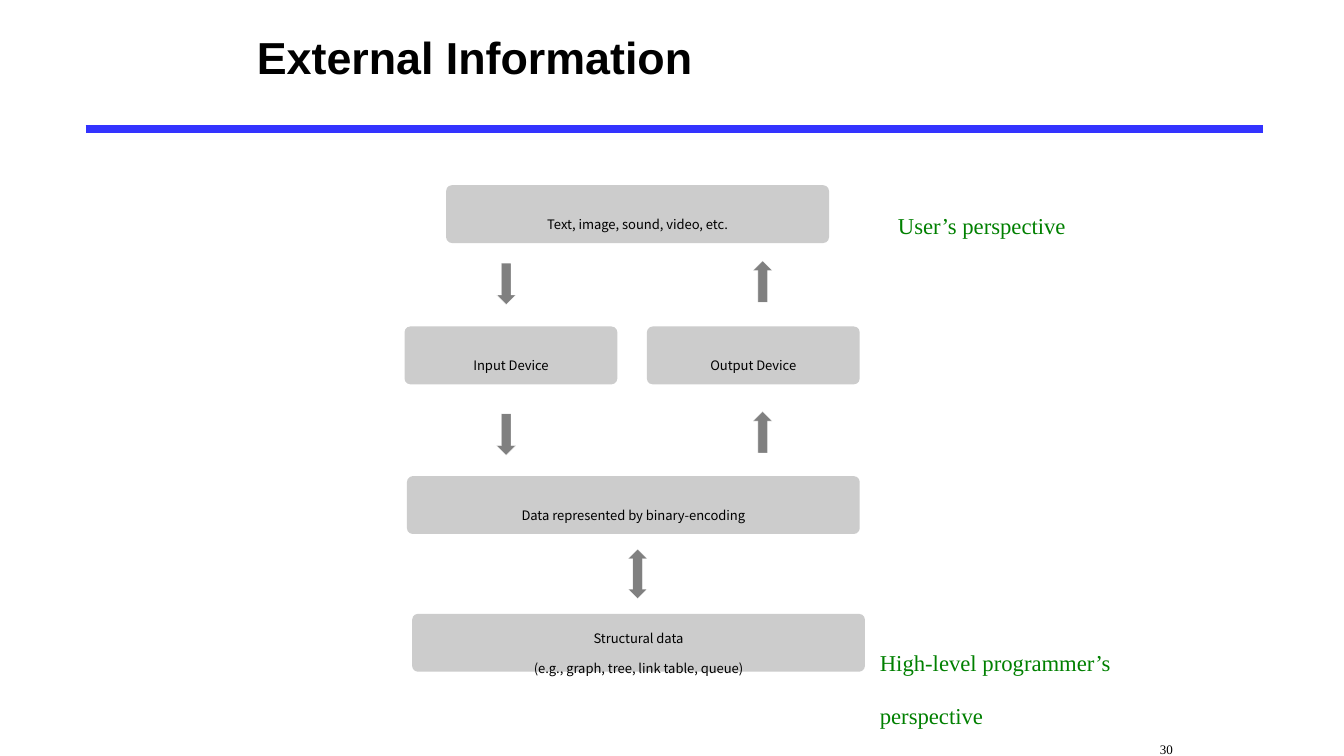
from lxml import etree
from pptx import Presentation
from pptx.dml.color import RGBColor
from pptx.enum.shapes import MSO_CONNECTOR, MSO_SHAPE
from pptx.enum.text import MSO_ANCHOR, PP_ALIGN
from pptx.oxml.ns import qn
from pptx.util import Pt

STRAIGHT = MSO_CONNECTOR.STRAIGHT
ROUNDED = MSO_SHAPE.ROUNDED_RECTANGLE
DOWN = MSO_SHAPE.DOWN_ARROW
LEFT_RIGHT = MSO_SHAPE.LEFT_RIGHT_ARROW
TOP, MIDDLE = MSO_ANCHOR.TOP, MSO_ANCHOR.MIDDLE
LEFT, CENTER = PP_ALIGN.LEFT, PP_ALIGN.CENTER

TITLE = {"name": "Arial", "size": Pt(32), "bold": True}
BOX = {"name": "Noto Sans CJK SC", "size": Pt(16)}
LABEL = {"name": "Times New Roman", "size": Pt(28)}
NUMBER = {"name": "Times New Roman", "size": Pt(16)}


def rgb(value):
    return RGBColor.from_string(value)


class Deck:
    rule, box, arrow = "3333FF", "CCCCCC", "808080"
    ink, label, paper = "000000", "008000", "FFFFFF"

    def __init__(self, width, height):
        self.prs = Presentation()
        self.prs.slide_width, self.prs.slide_height = Pt(width), Pt(height)
        self.s = self.prs.slides.add_slide(self.prs.slide_layouts[6])

    def set_text(self, sp, lines, fmt, color, frame, para, lowered=True):
        tf = sp.text_frame
        tf.word_wrap = True
        for key, value in frame.items():
            setattr(tf, key, value)
        for i, line in enumerate(lines):
            p = tf.paragraphs[0] if i == 0 else tf.add_paragraph()
            for key, value in para.items():
                setattr(p, key, value)
            r = p.add_run()
            r.text = line
            for key, value in fmt.items():
                setattr(r.font, key, value)
            r.font.color.rgb = rgb(color)
            if lowered:
                r._r.get_or_add_rPr().set("baseline", "-25000")

    def add_rule(self, x1, x2, y):
        c = self.s.shapes.add_connector(STRAIGHT, Pt(x1), Pt(y), Pt(x2), Pt(y))
        c.line.color.rgb = rgb(self.rule)
        c.line.width = Pt(6)
        etree.SubElement(c._element.spPr, qn("a:effectLst"))

    def add_shape(self, kind, x, y, w, h, fill):
        sp = self.s.shapes.add_shape(kind, Pt(x), Pt(y), Pt(w), Pt(h))
        sp.shadow.inherit = False
        sp.fill.solid()
        sp.fill.fore_color.rgb = rgb(fill)
        return sp

    def add_box(self, x, y, w, *lines):
        sp = self.add_shape(ROUNDED, x, y, w, 41.3, self.box)
        sp.adjustments[0] = 0.1
        sp.line.fill.background()
        self.set_text(sp, lines, BOX, self.ink,
                      {"vertical_anchor": MIDDLE, "margin_top": Pt(8)},
                      {"alignment": CENTER, "line_spacing": Pt(21.5)})

    def add_arrow(self, kind, x, y, w, h, rotation=0):
        sp = self.add_shape(kind, x, y, w, h, self.arrow)
        sp.rotation = rotation
        sp.line.color.rgb = rgb(self.paper)
        sp.line.width = Pt(0.13)

    def add_text(self, x, y, w, h, text, fmt, color, lowered=True,
                 anchor=TOP, top=6, left=7.2):
        sp = self.s.shapes.add_textbox(Pt(x), Pt(y), Pt(w), Pt(h))
        frame = {"vertical_anchor": anchor, "margin_top": Pt(top),
                 "margin_left": Pt(left)}
        self.set_text(sp, [text], fmt, color, frame, {"alignment": LEFT}, lowered)


def main():
    deck = Deck(960, 540)
    deck.add_rule(61.2, 902.2, 92.2)
    deck.add_text(176.4, 0, 625.7, 80.6, "External Information", TITLE,
                  deck.ink, lowered=False, anchor=MIDDLE, top=3.6)

    for x, y, w, *lines in (
        (318.7, 132.3, 273.5, "Text, image, sound, video, etc."),
        (289, 233.2, 152, "Input Device"),
        (462.1, 233.2, 152, "Output Device"),
        (290.7, 340.1, 323.4, "Data represented by binary-encoding"),
        (294.4, 438.5, 323.4, "Structural data",
         "(e.g., graph, tree, link table, queue)"),
    ):
        deck.add_box(x, y, w, *lines)

    for y in (188, 295.6):
        deck.add_arrow(DOWN, 354.8, y, 13.5, 29.5)
        deck.add_arrow(DOWN, 538, y - 1.6, 13.5, 29.5, rotation=180)
    deck.add_arrow(LEFT_RIGHT, 437.8, 403.2, 35.3, 13.5, rotation=90)

    deck.add_text(634.3, 126.7, 160.6, 30.2, "User’s perspective",
                  LABEL, deck.label)
    deck.add_text(621.4, 438.5, 228.2, 52.6,
                  "High-level programmer’s perspective", LABEL, deck.label)
    deck.add_text(758.9, 512.6, 201.6, 27.4, "30", NUMBER, deck.ink, left=69.7)
    deck.prs.save("out.pptx")


if __name__ == "__main__":
    main()
